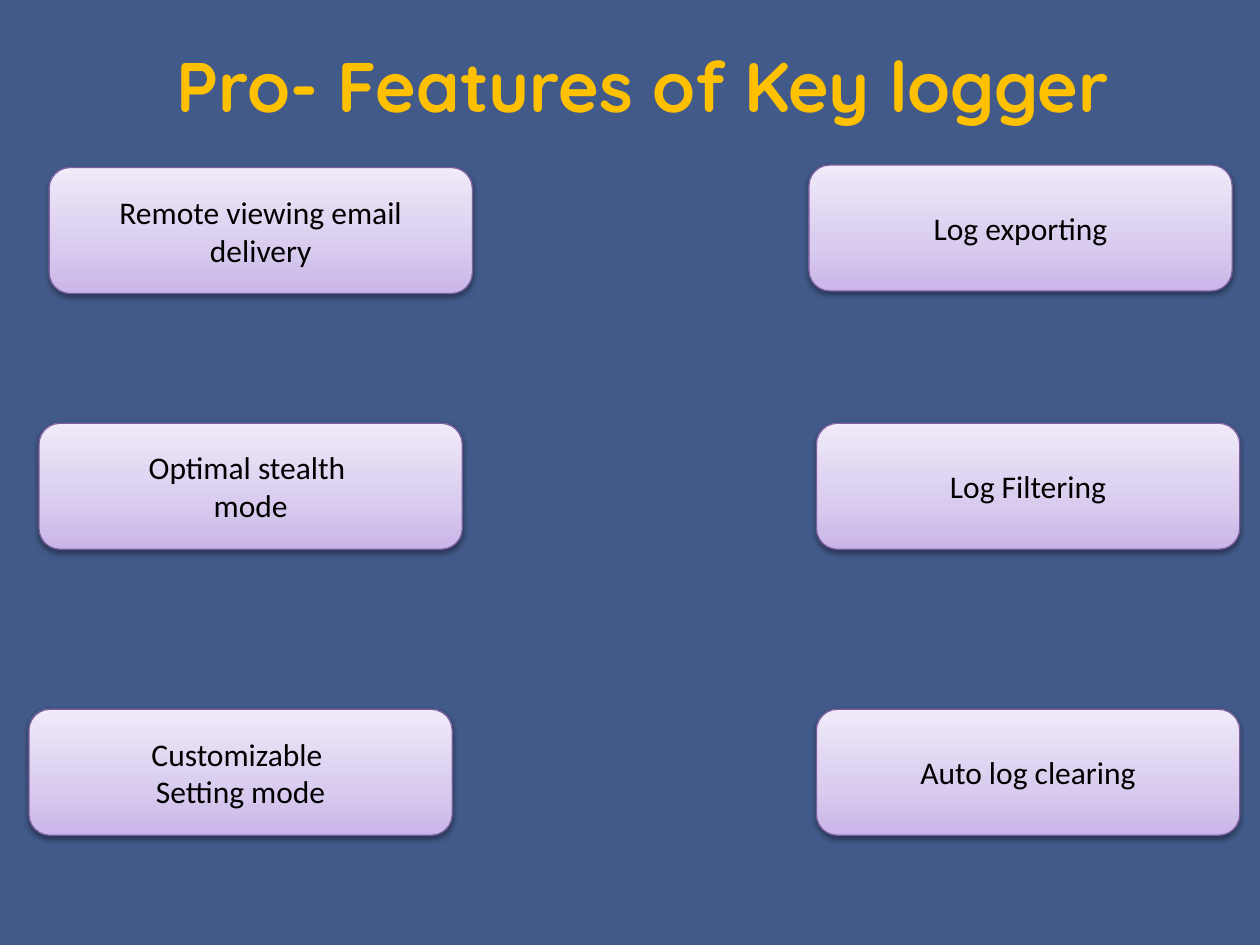
import pptx
import pptx.dml.color
import pptx.enum.shapes
import pptx.enum.text
import pptx.oxml.ns
import pptx.util
from lxml import etree

Inches, Pt = pptx.util.Inches, pptx.util.Pt
qn = pptx.oxml.ns.qn

TITLE = "Pro- Features of Key logger"
FEATURES = [  # left, top, text
    (0.39, 1.33, "Remote viewing email delivery"),
    (0.31, 3.36, "Optimal stealth \nmode"),
    (0.23, 5.63, "Customizable \nSetting mode"),
    (6.48, 5.63, "Auto log clearing"),
    (6.48, 3.36, "Log Filtering"),
    (6.42, 1.31, "Log exporting"),
]
FEATURE_WIDTH, FEATURE_HEIGHT = 3.36, 1
LILAC_STOPS = [(0, "C9B5E8"), (35, "D8CBEE"), (100, "F0EAF9")]


def rgb(value):
    """Return the colour for a hex string."""
    return pptx.dml.color.RGBColor.from_string(value)


def style_runs(frame, font_name, size, colour, align, bold=False):
    """Format every run and align every paragraph of a text frame."""
    for paragraph in frame.paragraphs:
        paragraph.alignment = align
        for run in paragraph.runs:
            run.font.name = font_name
            run.font.size = Pt(size)
            run.font.bold = bold
            run.font.color.rgb = rgb(colour)


def fill_gradient(shape, stops):
    """Fill a shape with colour stops running from bottom to top."""
    shape.fill.gradient()
    shape.fill.gradient_angle = 90
    stop_list = shape.element.spPr.find(qn("a:gradFill")).find(qn("a:gsLst"))
    for stop in list(stop_list):
        stop_list.remove(stop)
    for percent, colour in stops:
        stop = etree.SubElement(stop_list, qn("a:gs"), pos=str(percent * 1000))
        etree.SubElement(stop, qn("a:srgbClr"), val=colour)


def add_shadow(shape):
    """Give a shape a soft shadow straight below it."""
    shape.shadow.inherit = False
    effects = shape.element.spPr.find(qn("a:effectLst"))
    shadow = etree.SubElement(
        effects, qn("a:outerShdw"), blurRad=str(Pt(3.1)), dist=str(Pt(1.6)),
        dir="5400000", rotWithShape="0")
    colour = etree.SubElement(shadow, qn("a:srgbClr"), val="000000")
    etree.SubElement(colour, qn("a:alpha"), val="38000")


def add_feature(slide, left, top, text):
    """Add one rounded feature box."""
    feature = slide.shapes.add_shape(
        pptx.enum.shapes.MSO_SHAPE.ROUNDED_RECTANGLE, Inches(left), Inches(top),
        Inches(FEATURE_WIDTH), Inches(FEATURE_HEIGHT))
    fill_gradient(feature, LILAC_STOPS)
    feature.line.color.rgb = rgb("7D60A0")
    feature.line.width = Pt(0.75)
    add_shadow(feature)
    frame = feature.text_frame
    frame.text = text
    frame.word_wrap = True
    frame.vertical_anchor = pptx.enum.text.MSO_ANCHOR.MIDDLE
    style_runs(frame, "Calibri", 18, "000000", pptx.enum.text.PP_ALIGN.CENTER)


def add_title(slide):
    """Place and format the slide title."""
    title = slide.shapes.title
    title.left, title.top = Inches(1.3), Inches(0.29)
    title.width, title.height = Inches(7.61), Inches(0.77)
    frame = title.text_frame
    frame.text = TITLE
    frame.word_wrap = False
    frame.auto_size = pptx.enum.text.MSO_AUTO_SIZE.SHAPE_TO_FIT_TEXT
    frame.vertical_anchor = pptx.enum.text.MSO_ANCHOR.TOP
    style_runs(frame, "Quicksand", 40, "FFC000", pptx.enum.text.PP_ALIGN.LEFT, bold=True)


deck = pptx.Presentation()
deck.slide_width, deck.slide_height = Inches(10), Inches(7.5)
slide = deck.slides.add_slide(deck.slide_layouts.get_by_name("Title Only"))
slide.background.fill.solid()
slide.background.fill.fore_color.rgb = rgb("425A89")
add_title(slide)
for left, top, text in FEATURES:
    add_feature(slide, left, top, text)
deck.save("out.pptx")
